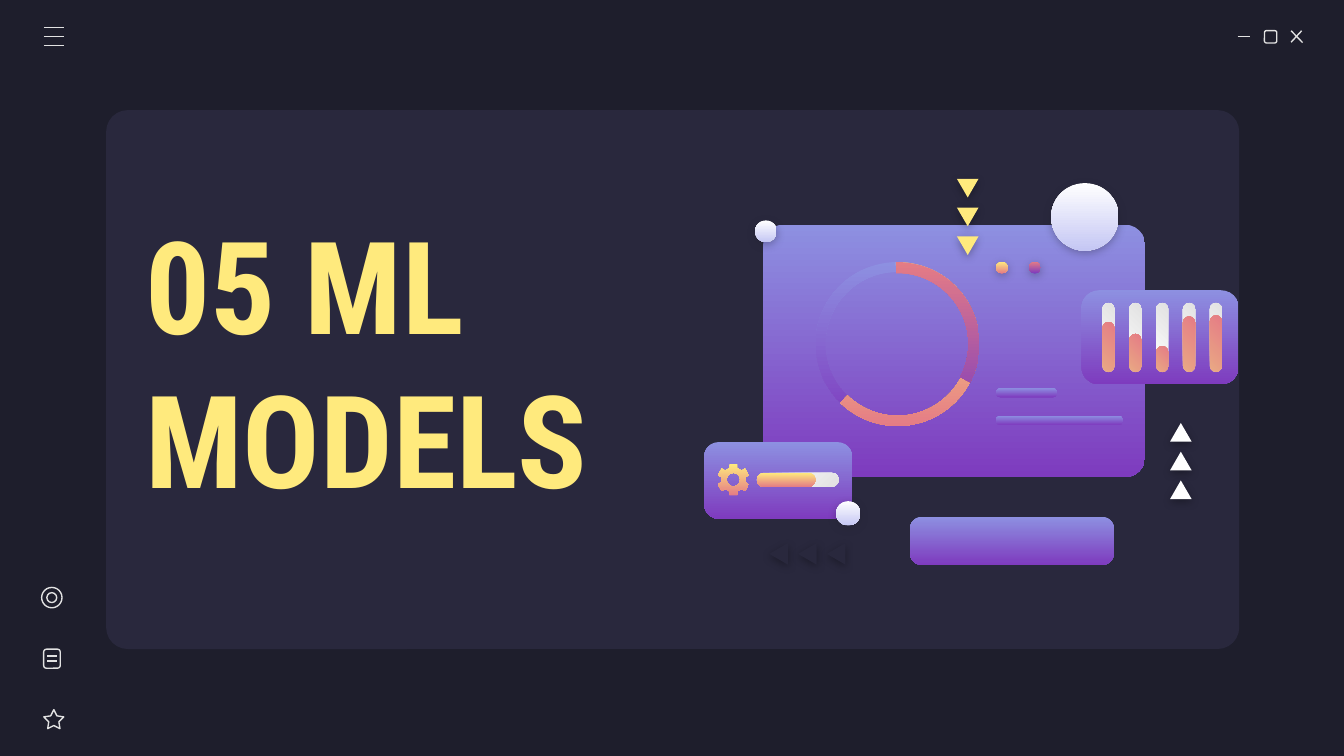
from math import cos, radians, sin

from lxml import etree
from pptx import Presentation
from pptx.dml.color import RGBColor
from pptx.enum.shapes import MSO_CONNECTOR, MSO_SHAPE as SHP
from pptx.enum.text import MSO_ANCHOR, MSO_AUTO_SIZE, PP_ALIGN
from pptx.oxml.ns import qn
from pptx.util import Pt

THEME = {
    "bg": "1E1E2C", "card": "29283D", "icon": "E2E2E2", "yellow": "FFEA7D",
    "white": "FFFFFF", "black": "000000",
    "font": "Roboto Condensed", "title_size": 69, "icon_line": 0.75,
}
# Gradients: first colour, last colour, clockwise angle
VIOLET = ("8D90E1", "7E3BBE", 90)
PEARL = ("FFFFFF", "C5C7F4", 90)
SUN = ("FFEA7D", "E57C85", 90)
DUSK = ("E57C85", "7E3BBE", 90)
TRACK = ("FFFFFF", "E2E2E2", 45)
CORAL = ("E9A984", "E57C85", 45)

TITLE = "05 ML MODELS"
TITLE_BOX = (70.6, 141.8, 326.9, 102.2)
CARD = (56.9, 59, 607, 288.7)

ICON_LINES = [
    (663.1, 19.5, 669.6, 19.5),                                  # minimise
    (691.7, 16.5, 697.8, 22.8), (697.3, 16.5, 691.7, 22.6),      # close
    *[(23.5, y, 34.1, y) for y in (14.8, 19.6, 24.4)],           # menu
    (25.2, 351.5, 30.5, 351.5), (25.2, 354.2, 30.5, 354.2),      # note
]
ICON_SHAPES = [  # preset, box, first adjustment
    (SHP.ROUNDED_RECTANGLE, (677.4, 16.4, 6.6, 6.6), 0.167),
    (SHP.ROUNDED_RECTANGLE, (23.4, 347.8, 8.9, 10.2), 0.167),
    (SHP.STAR_5_POINT, (23.5, 380.2, 10.7, 10.2), 0.254),
    (SHP.OVAL, (22.3, 314.7, 10.9, 10.9), None),
    (SHP.OVAL, (25.1, 317.5, 5.3, 5.3), None),
]
PANELS = [  # box, corner, gradient
    ((409, 120.4, 204.4, 135.2), 0.079, VIOLET),
    ((377.3, 236.9, 79.2, 41), 0.187, VIOLET),
    ((579.4, 155.5, 84.2, 50.4), 0.187, VIOLET),
    ((487.5, 276.8, 109.3, 25.9), 0.252, VIOLET),
    ((405.4, 253.3, 44, 7.5), 0.5, TRACK),
    ((405.4, 253.3, 31.5, 7.5), 0.5, SUN),
    ((533.5, 207.9, 33, 5), 0.5, VIOLET),
    ((533.5, 222.7, 68.2, 5), 0.5, VIOLET),
]
RING_BOX = (436.9, 140.4, 87.8, 87.8)
ARCS = [  # start and end in degrees, thickness, gradient
    (275.7, 273.68, 0.06, VIOLET),
    (268.93, 134.18, 0.062, SUN),
    (268.93, 27.72, 0.067, DUSK),
]
BALLS = [  # left, top, diameter, gradient
    (563.1, 98.1, 36.2, PEARL), (447.9, 268.5, 13, PEARL), (404.5, 118.1, 11.6, PEARL),
    (533.6, 140.2, 6.3, SUN), (551.3, 140.2, 6.3, DUSK),
]
TRIANGLES = [  # first left and top, step right and down, rotation, colour
    (512.6, 95.8, 0, 15.4, 180, THEME["yellow"]),
    (626.8, 226.6, 0, 15.4, 0, THEME["white"]),
    (411.3, 291.7, 15.4, 0, 270, THEME["card"]),
]
GAUGE_LEVELS = [26.8, 20.4, 13.9, 29.8, 30.4]
GAUGE_X, GAUGE_STEP, GAUGE_BOTTOM, GAUGE_H, GAUGE_W = 593.8, 14.4, 199.3, 37, 6.5
GEAR = (392.9, 257)


def rgb(value):
    return RGBColor.from_string(value)


def paint(s, fill):
    """Fill with one colour, a gradient tuple or nothing; no line, no shadow."""
    s.shadow.inherit = False
    s.line.fill.background()
    if fill is None:
        s.fill.background()
    elif isinstance(fill, str):
        s.fill.solid()
        s.fill.fore_color.rgb = rgb(fill)
    else:
        s.fill.gradient()
        s.fill.gradient_angle = 360 - fill[2]
        for stop, value in zip(s.fill.gradient_stops, fill):
            stop.color.rgb = rgb(value)


def add_shape(preset, box, fill=None, adj=(), rotation=0):
    s = shapes.add_shape(preset, *map(Pt, box))
    paint(s, fill)
    s.rotation = rotation
    for i, value in enumerate(adj):
        s.adjustments[i] = value
    return s


def add_shadow(s, color, alpha):
    effects = s._element.spPr.find(qn("a:effectLst"))
    shadow = etree.SubElement(effects, qn("a:outerShdw"), blurRad=str(Pt(4.5)),
                              dist=str(Pt(1.5)), dir="5400000", algn="bl", rotWithShape="0")
    clr = etree.SubElement(shadow, qn("a:srgbClr"), val=color)
    etree.SubElement(clr, qn("a:alpha"), val=str(alpha * 1000))


def outline(s):
    s.line.color.rgb = rgb(THEME["icon"])
    s.line.width = Pt(THEME["icon_line"])


def add_tube(center_x, height, fill):
    """Upright rounded bar on the gauge baseline, drawn as a turned flat one."""
    center_y = GAUGE_BOTTOM - height / 2
    box = (center_x - height / 2, center_y - GAUGE_W / 2, height, GAUGE_W)
    add_shape(SHP.ROUNDED_RECTANGLE, box, fill, [0.5], 270)


def add_gear():
    def polar(radius, angle):
        a = radians(angle)
        return Pt(GEAR[0] + radius * cos(a)), Pt(GEAR[1] + radius * sin(a))

    rim = [polar(radius, tooth + turn) for tooth in range(-90, 270, 60)
           for radius, turn in ((6.6, -18), (8.7, -14), (8.7, 14), (6.6, 18))]
    hole = [polar(3.6, -angle) for angle in range(0, 360, 15)]
    builder = shapes.build_freeform(*rim[0], scale=1.0)
    builder.add_line_segments(rim[1:], close=True)
    builder.move_to(*hole[0])
    builder.add_line_segments(hole[1:], close=True)
    paint(builder.convert_to_shape(), SUN)


prs = Presentation()
prs.slide_width, prs.slide_height = Pt(720), Pt(405)
slide = prs.slides.add_slide(prs.slide_layouts[5])
slide.background.fill.solid()
slide.background.fill.fore_color.rgb = rgb(THEME["bg"])
shapes = slide.shapes

card = add_shape(SHP.ROUNDED_RECTANGLE, CARD, THEME["card"], [0.04])
title = shapes.title
card._element.addnext(title._element)  # keep the title in front of the card
title.left, title.top, title.width, title.height = map(Pt, TITLE_BOX)
tf = title.text_frame
tf.text = TITLE
tf.word_wrap, tf.auto_size = True, MSO_AUTO_SIZE.NONE
tf.vertical_anchor = MSO_ANCHOR.MIDDLE
tf.margin_left = tf.margin_right = tf.margin_top = tf.margin_bottom = Pt(7.2)
p = tf.paragraphs[0]
p.alignment = PP_ALIGN.LEFT
p.space_before = Pt(0)
p.font.name, p.font.size, p.font.bold = THEME["font"], Pt(THEME["title_size"]), True
p.font.color.rgb = rgb(THEME["yellow"])

for ends in ICON_LINES:
    line = shapes.add_connector(MSO_CONNECTOR.STRAIGHT, *map(Pt, ends))
    outline(line)
    etree.SubElement(line._element.spPr, qn("a:effectLst"))
for preset, box, adj in ICON_SHAPES:
    outline(add_shape(preset, box, adj=[] if adj is None else [adj]))

for box, corner, fill in PANELS:
    add_shape(SHP.ROUNDED_RECTANGLE, box, fill, [corner])
for start, end, thickness, fill in ARCS:
    # Angles are stored in 1/60000 degree, adjustments in 1/100000
    add_shape(SHP.BLOCK_ARC, RING_BOX, fill, [start * 0.6, end * 0.6, thickness])
add_gear()
for i, level in enumerate(GAUGE_LEVELS):
    x = GAUGE_X + i * GAUGE_STEP
    add_tube(x, GAUGE_H, TRACK)
    add_tube(x, level, CORAL)
for left, top, size, fill in BALLS:
    add_shadow(add_shape(SHP.OVAL, (left, top, size, size), fill), THEME["bg"], 31)
for left, top, dx, dy, rotation, fill in TRIANGLES:
    for i in range(3):
        box = (left + i * dx, top + i * dy, 11.6, 10)
        s = add_shape(SHP.ISOSCELES_TRIANGLE, box, fill, rotation=rotation)
        add_shadow(s, THEME["black"], 30)

prs.save("out.pptx")
